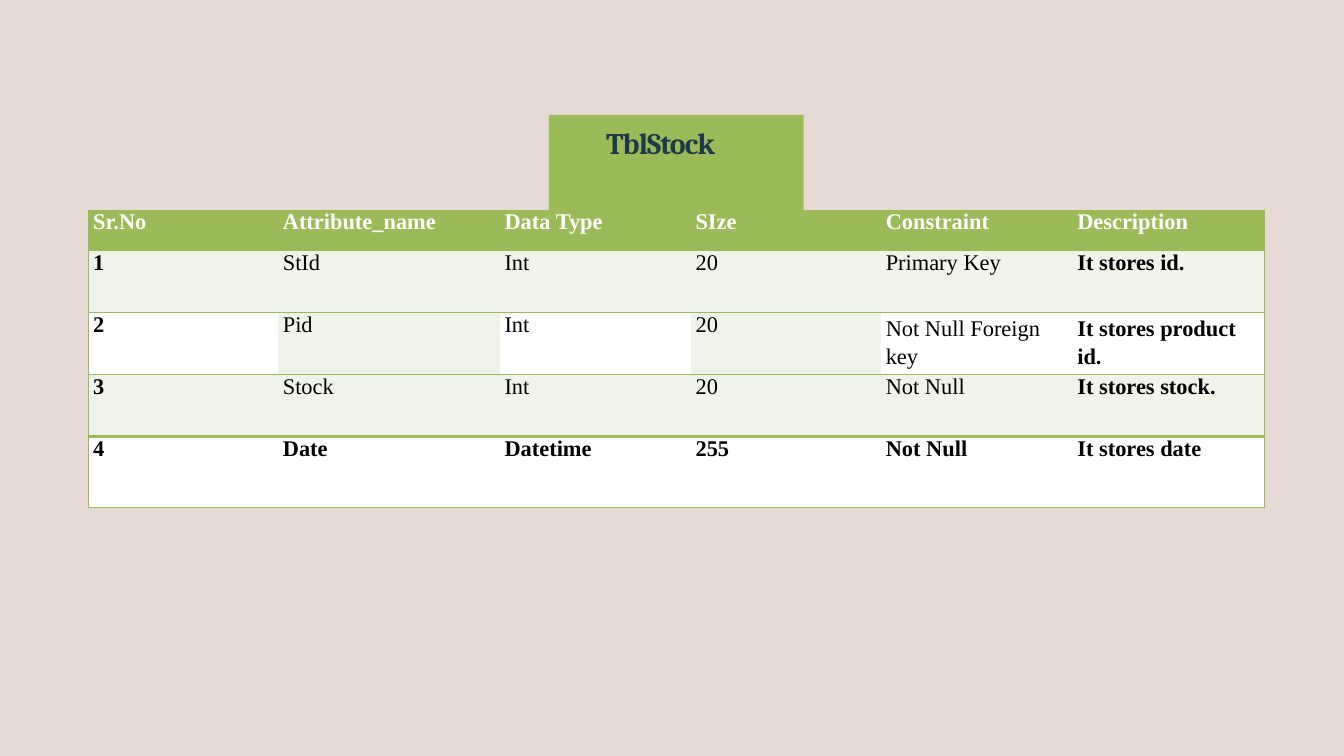
from lxml.etree import SubElement
from pptx import Presentation
from pptx.dml.color import RGBColor
from pptx.enum.text import MSO_ANCHOR, MSO_AUTO_SIZE, PP_ALIGN
from pptx.oxml.ns import qn
from pptx.util import Cm, Pt

COLORS = {
    "background": "E7D9D3",
    "green": "9BBB59",
    "tint": "EFF3EA",
    "white": "FFFFFF",
    "black": "000000",
    "title": "21384A",
}

SLIDE_WIDTH, SLIDE_HEIGHT = 50.8, 28.58
COLUMN_WIDTHS = [7.17, 8.38, 7.22, 7.19, 7.24, 7.26]
ROW_HEIGHTS = [1.52, 2.35, 2.35, 2.34, 2.68]
ROWS = [
    ["Sr.No", "Attribute_name", "Data Type", "SIze", "Constraint", "Description"],
    ["1", "StId", "Int", "20", "Primary Key", "It stores id."],
    ["2", "Pid", "Int", "20", "Not Null Foreign key", "It stores product id."],
    ["3", "Stock", "Int", "20", "Not Null", "It stores stock."],
    ["4", "Date", "Datetime", "255", "Not Null", "It stores date"],
]
LAST_ROW = len(ROWS) - 1
LAST_COLUMN = len(COLUMN_WIDTHS) - 1
TINTED_IN_ROW_2 = (1, 3)
THIN, THICK = 1, 4


def rgb(name):
    return RGBColor.from_string(COLORS[name])


def add_backdrop(slide, left, top, width, height):
    """Fill the box with one flat panel behind everything else."""
    right, bottom = Cm(left + width), Cm(top + height)
    builder = slide.shapes.build_freeform(right, bottom)
    builder.add_line_segments(
        [(Cm(left), bottom), (Cm(left), Cm(top)), (right, Cm(top))], close=True)
    sp = builder.convert_to_shape()
    sp.shadow.inherit = False
    sp.fill.solid()
    sp.fill.fore_color.rgb = rgb("background")
    sp.line.fill.background()
    slide.shapes.title._element.addprevious(sp._element)


def add_title(slide, left, top, width, height):
    sp = slide.shapes.title
    sp.left, sp.top, sp.width, sp.height = Cm(left), Cm(top), Cm(width), Cm(height)
    sp.fill.solid()
    sp.fill.fore_color.rgb = rgb("green")
    tf = sp.text_frame
    tf.word_wrap = True
    tf.auto_size = MSO_AUTO_SIZE.NONE
    tf.vertical_anchor = MSO_ANCHOR.TOP
    tf.margin_left, tf.margin_top = Cm(2.16), Cm(0.36)
    tf.margin_right = tf.margin_bottom = 0
    p = tf.paragraphs[0]
    p.alignment = PP_ALIGN.LEFT
    p.line_spacing = 1.0
    r = p.add_run()
    r.text = "TblStock"
    r.font.name, r.font.size, r.font.bold = "Cambria", Pt(32), True
    r.font.color.rgb = rgb("title")
    r.font._element.set("spc", "-100")


def set_borders(cell, widths):
    """Draw the left, right, top and bottom borders; a width of 0 hides one."""
    tcPr = cell._tc.get_or_add_tcPr()
    for side, width in zip("LRTB", widths):
        ln = SubElement(tcPr, qn(f"a:ln{side}"), w=str(Pt(width)))
        if width:
            fill = SubElement(ln, qn("a:solidFill"))
            SubElement(fill, qn("a:srgbClr"), val=COLORS["green"])
        else:
            SubElement(ln, qn("a:noFill"))


def fill_name(row, column):
    if row == 0:
        return "green"
    if row == 2:
        return "tint" if column in TINTED_IN_ROW_2 else "white"
    return "white" if row == LAST_ROW else "tint"


def format_cell(cell, row, column, text):
    set_borders(cell, [
        THIN if column == 0 else 0,
        THIN if column == LAST_COLUMN else 0,
        THICK if row == LAST_ROW else THIN,
        THICK if row == LAST_ROW - 1 else THIN,
    ])
    cell.fill.solid()
    cell.fill.fore_color.rgb = rgb(fill_name(row, column))
    cell.margin_left = Cm(0.19)
    cell.margin_right = cell.margin_top = cell.margin_bottom = 0
    cell.text = text
    p = cell.text_frame.paragraphs[0]
    if row == 2 and column >= LAST_COLUMN - 1:
        p.line_spacing = 1.15
    p.font.name, p.font.size = "Times New Roman", Pt(24)
    p.font.bold = row in (0, LAST_ROW) or column in (0, LAST_COLUMN)
    p.font.color.rgb = rgb("white" if row == 0 else "black")


def add_attribute_table(slide, left, top):
    table = slide.shapes.add_table(
        len(ROWS), len(COLUMN_WIDTHS), Cm(left), Cm(top),
        Cm(sum(COLUMN_WIDTHS)), Cm(sum(ROW_HEIGHTS))).table
    table.first_row = table.horz_banding = False
    for column, width in zip(table.columns, COLUMN_WIDTHS):
        column.width = Cm(width)
    for row, height in zip(table.rows, ROW_HEIGHTS):
        row.height = Cm(height)
    for i, texts in enumerate(ROWS):
        for j, text in enumerate(texts):
            format_cell(table.cell(i, j), i, j, text)


def main():
    prs = Presentation()
    prs.slide_width, prs.slide_height = Cm(SLIDE_WIDTH), Cm(SLIDE_HEIGHT)
    slide = prs.slides.add_slide(prs.slide_layouts[5])
    add_backdrop(slide, 0, 0, SLIDE_WIDTH, SLIDE_HEIGHT)
    add_title(slide, 20.75, 4.34, 9.63, 3.65)
    add_attribute_table(slide, 3.33, 7.94)
    prs.save("out.pptx")


if __name__ == "__main__":
    main()
